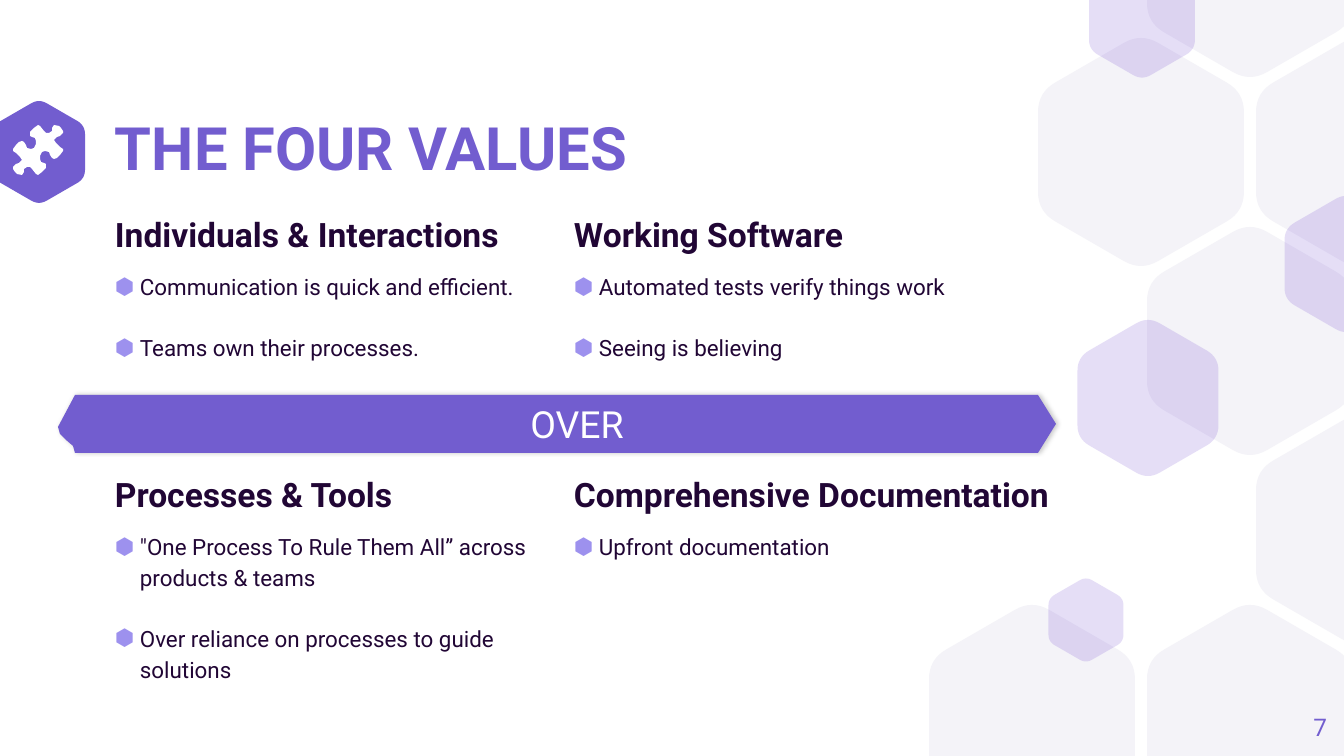
from dataclasses import dataclass
from math import cos, radians, sin, sqrt

from lxml import etree
from pptx import Presentation
from pptx.dml.color import RGBColor
from pptx.enum import text
from pptx.oxml import ns
from pptx.util import Pt

SCALE = 914400 / 134.4
WIDE, HIGH = 1344, 756


@dataclass(frozen=True)
class Theme:
    """Colours, type sizes and font of the slide."""
    font: str = "Roboto"
    main: str = "725DCF"
    dark: str = "210635"
    white: str = "FFFFFF"
    cell: str = "F4F3F8"
    tint: str = "5322C9"
    bullet: str = "9D91EE"
    title: int = 32
    band: int = 20
    head: int = 18
    page: int = 13
    body: int = 12


THEME = Theme()

CELLS = [(2, 0), (1, 1), (3, 1), (2, 2), (3, 3), (0, 4), (2, 4)]
TINTS = [(1346, 264, 123), (1086, 620, 75), (1142, 19, 106), (1148, 398, 141)]
BAND = [(75, 395), (1038, 395), (1056, 424), (1038, 453), (75, 453),
        (73, 446), (66, 440), (60, 434), (58, 427)]
HALF = [(38, 125), (34, 128), (30, 132), (30, 136), (32, 137), (35, 138),
        (36, 141), (36, 144), (34, 148), (31, 149), (27, 148), (26, 145),
        (24, 142), (22, 141), (19, 142), (16, 145), (13, 149), (13, 151),
        (16, 153), (20, 157), (22, 160), (19, 163), (16, 164), (13, 167),
        (13, 169), (15, 172), (17, 174), (22, 175), (24, 172), (24, 169),
        (27, 167), (30, 167), (32, 169), (36, 174)]
VALUES = [
    (115, 208, 458, "Individuals & Interactions",
     ["Communication is quick and efficient.", "Teams own their processes."]),
    (574, 208, 458, "Working Software",
     ["Automated tests verify things work", "Seeing is believing"]),
    (115, 468, 458, "Processes & Tools",
     ["\"One Process To Rule Them All” across products & teams",
      "Over reliance on processes to guide solutions"]),
    (574, 468, 481, "Comprehensive Documentation", ["Upfront documentation"]),
]


def px(n):
    """Turn px into EMU."""
    return round(n * SCALE)


def sub(node, tag, **attrs):
    """Add a drawing element with attributes."""
    kid = etree.SubElement(node, ns.qn(tag))
    for key, val in attrs.items():
        kid.set(key, str(val))
    return kid


def outline(slide, dots, color, alpha=None):
    """Draw a closed filled outline."""
    dots = [(px(x), px(y)) for x, y in dots]
    pen = slide.shapes.build_freeform(*dots[0], scale=1.0)
    pen.add_line_segments(dots[1:], close=True)
    form = pen.convert_to_shape()
    form.shadow.inherit = False
    form.line.fill.background()
    form.fill.solid()
    form.fill.fore_color.rgb = RGBColor.from_string(color)
    if alpha:
        tone = form._element.spPr.find(".//" + ns.qn("a:srgbClr"))
        sub(tone, "a:alpha", val=alpha * 1000)
    return form


def hexagon(slide, cx, cy, wide, color, alpha=None):
    """Draw a round-cornered hexagon, cut at the top and bottom edges."""
    rad, trim, steps = wide / sqrt(3), 0.096 * sqrt(3), 8
    tips = [(cx + rad * cos(radians(a)), cy + rad * sin(radians(a)))
            for a in range(30, 390, 60)]
    dots = []
    for i, tip in enumerate(tips):
        ends = [[t + (o - t) * trim for t, o in zip(tip, other)]
                for other in (tips[i - 1], tips[(i + 1) % 6])]
        for n in range(steps + 1):
            t = n / steps
            x, y = [(1 - t) ** 2 * a + 2 * t * (1 - t) * b + t * t * c
                    for a, b, c in zip(ends[0], tip, ends[1])]
            dots.append((x, min(max(y, 0), HIGH)))
    return outline(slide, dots, color, alpha)


def style(para, size, color, bold=False):
    """Format the runs of a paragraph."""
    for run in para.runs:
        run.font.name = THEME.font
        run.font.size = Pt(size)
        run.font.bold = bold
        run.font.color.rgb = RGBColor.from_string(color)


def inset(frame, left=0):
    """Set the margins and wrap the text."""
    frame.word_wrap = True
    frame.margin_left = px(left)
    frame.margin_top = frame.margin_right = frame.margin_bottom = 0


def box(slide, x, y, wide, high, words):
    """Add a text box and return its frame."""
    frame = slide.shapes.add_textbox(px(x), px(y), px(wide), px(high)).text_frame
    inset(frame)
    frame.text = words
    return frame


def bullet(para):
    """Give a paragraph a hexagon bullet with a hanging indent."""
    props = para._p.get_or_add_pPr()
    props.set("marL", str(px(25)))
    props.set("indent", str(px(-25)))
    sub(sub(props, "a:buClr"), "a:srgbClr", val=THEME.bullet)
    sub(props, "a:buFont", typeface=THEME.font)
    sub(props, "a:buChar", char="⬢")


def value(slide, x, y, wide, head, items):
    """Add a heading with its bulleted points."""
    frame = box(slide, x, y, wide, 202, head)
    frame.paragraphs[0].line_spacing = 1.15
    style(frame.paragraphs[0], THEME.head, THEME.dark, True)
    for i, item in enumerate(items):
        para = frame.add_paragraph()
        para.text = item
        para.line_spacing = 1.15
        para.space_before = Pt(16 if i else 8)
        para.space_after = Pt(8 if i else 0)
        bullet(para)
        style(para, THEME.body, THEME.dark)


def label(frame, size, color, align, bold=False):
    """Format a single line centred on its height."""
    frame.vertical_anchor = text.MSO_ANCHOR.MIDDLE
    para = frame.paragraphs[0]
    para.alignment = align
    style(para, size, color, bold)
    return para


def banner(slide, words):
    """Draw the pointed band with a soft shadow."""
    form = outline(slide, BAND, THEME.main)
    glow = sub(form._element.spPr.find(ns.qn("a:effectLst")), "a:outerShdw",
               blurRad=Pt(2.2), dist=Pt(0.8), dir=0, rotWithShape=0)
    sub(sub(glow, "a:srgbClr", val="000000"), "a:alpha", val=20000)
    inset(form.text_frame, 40)
    form.text_frame.text = words
    label(form.text_frame, THEME.band, THEME.white, text.PP_ALIGN.CENTER)


def main():
    """Build the slide and save it."""
    deck = Presentation()
    deck.slide_width, deck.slide_height = px(WIDE), px(HIGH)
    slide = deck.slides.add_slide(deck.slide_layouts[6])
    hexagon(slide, 39, 152, 92, THEME.main)
    for col, row in CELLS:
        hexagon(slide, 1032 + 109 * col, 189 * row - 37, 206, THEME.cell)
    for cx, cy, wide in TINTS:
        hexagon(slide, cx, cy, wide, THEME.tint, 15)
    title = box(slide, 115, 122, 981, 58, "THE FOUR VALUES")
    label(title, THEME.title, THEME.main, text.PP_ALIGN.LEFT, True).line_spacing = 0.9
    for item in VALUES:
        value(slide, *item)
    page = box(slide, 1246, 698, 81, 58, "7")
    label(page, THEME.page, THEME.main, text.PP_ALIGN.RIGHT)
    banner(slide, "OVER")
    outline(slide, HALF + [(76 - x, 300 - y) for x, y in HALF], THEME.white)
    deck.save("out.pptx")


if __name__ == "__main__":
    main()
